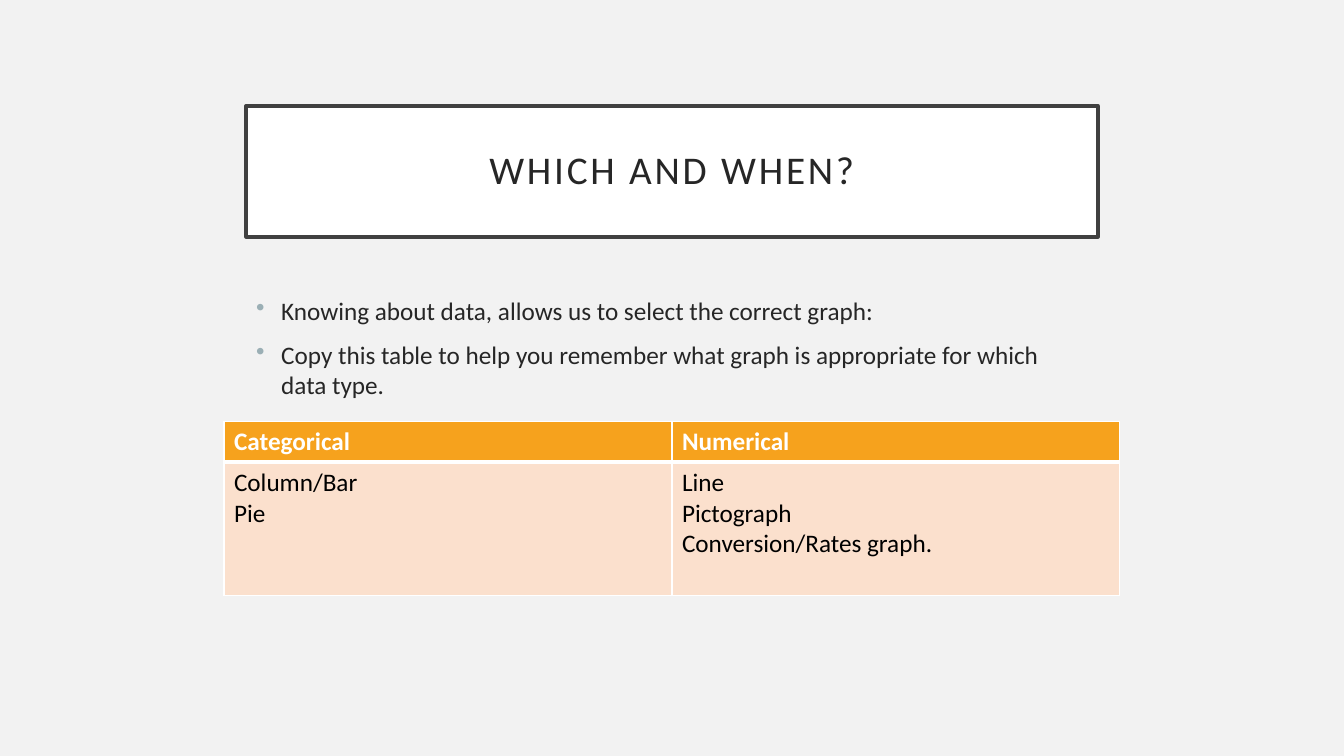
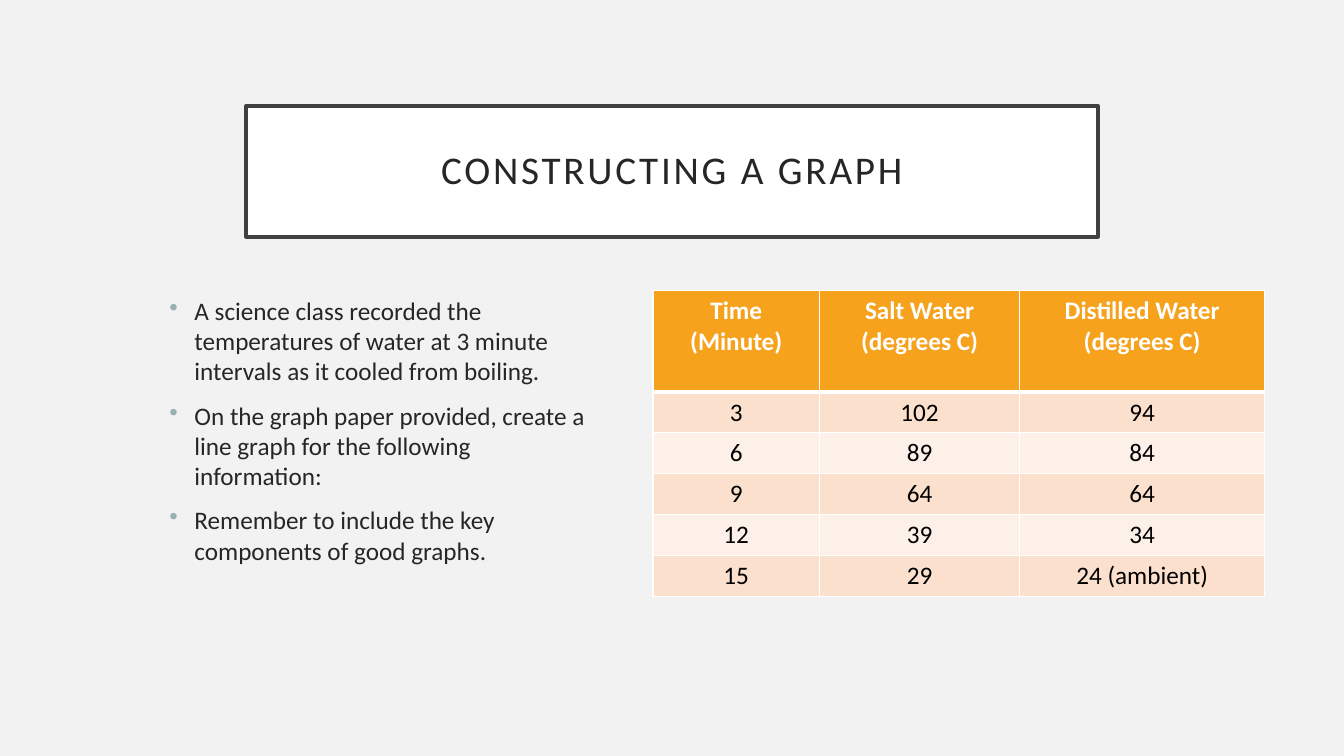
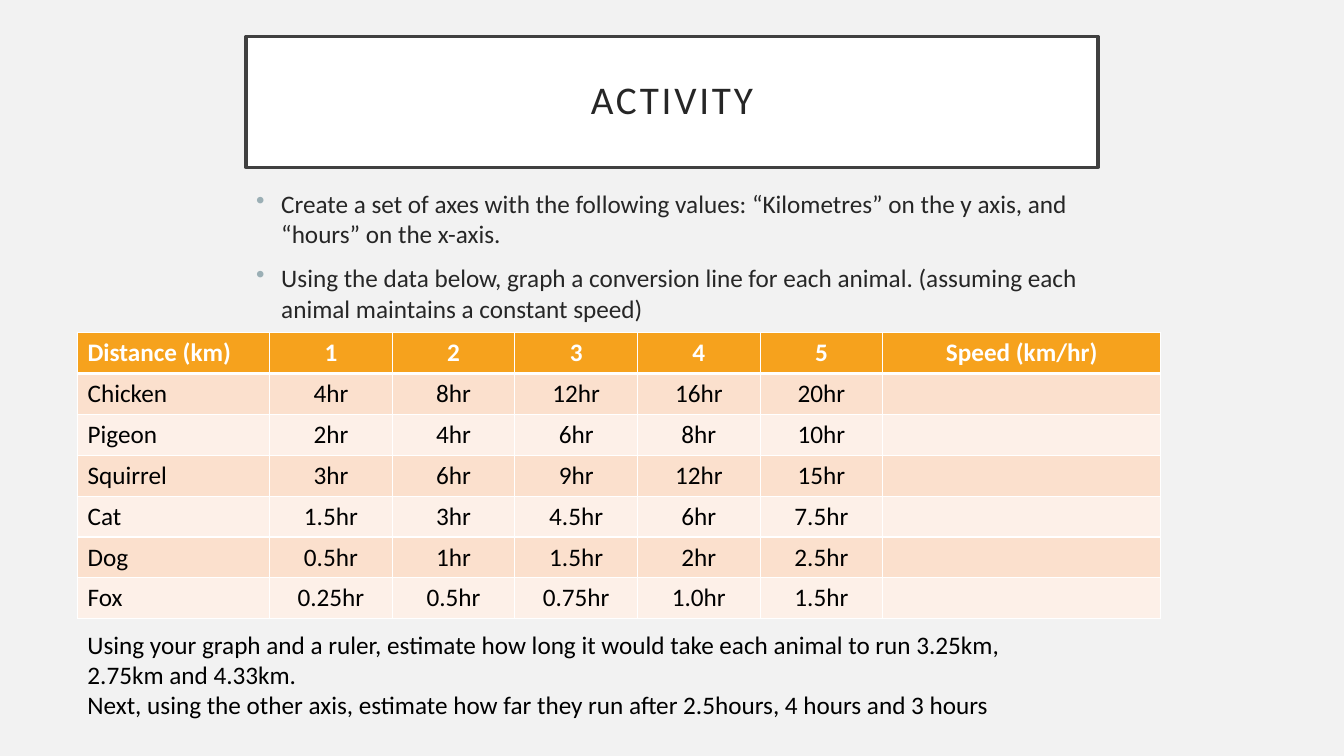
from dataclasses import dataclass
from typing import NamedTuple

from lxml.etree import SubElement
from pptx import Presentation
from pptx.dml.color import RGBColor as Rgb
from pptx.enum.text import MSO_ANCHOR as Anchor, MSO_AUTO_SIZE as AutoSize, PP_ALIGN as Align
from pptx.oxml.ns import qn
from pptx.util import Pt


@dataclass(frozen=True)
class Theme:
    font: str = "Calibri"
    title_size: float = 28
    text_size: float = 18
    title_tracking: float = 2
    page: str = "F2F2F2"
    white: str = "FFFFFF"
    black: str = "000000"
    text: str = "262626"
    frame: str = "404040"
    bullet: str = "9BAFB5"
    header: str = "F6A21D"
    bands: tuple = ("FBE0CD", "FDF0E8")


class Box(NamedTuple):
    left: float
    top: float
    width: float
    height: float


THEME = Theme()
PAGE_WIDTH, PAGE_HEIGHT = 960, 540
COLUMN_WIDTH = 608.4
COLUMN_LEFT = (PAGE_WIDTH - COLUMN_WIDTH) / 2
TITLE_TOP, TITLE_HEIGHT = 75.6, 93.6
BODY_TOP, BODY_HEIGHT = 207.4, 244
ROW_HEIGHT = 29.2


def color(code):
    return Rgb.from_string(code)


def style(para, size, code, bold=False):
    para.font.name = THEME.font
    para.font.size = Pt(size)
    para.font.bold = bold
    para.font.color.rgb = color(code)


def add_solid_fill(parent, code):
    SubElement(SubElement(parent, qn("a:solidFill")), qn("a:srgbClr"), val=code)


def add_page(deck, title, title_top=TITLE_TOP):
    """Title-only page with the framed title."""
    page = deck.slides.add_slide(deck.slide_layouts[5])
    shape = page.shapes.title
    shape.left, shape.top = Pt(COLUMN_LEFT), Pt(title_top)
    shape.width, shape.height = Pt(COLUMN_WIDTH), Pt(TITLE_HEIGHT)
    shape.fill.solid()
    shape.fill.fore_color.rgb = color(THEME.white)
    shape.line.color.rgb = color(THEME.frame)
    shape.line.width = Pt(2.5)

    frame = shape.text_frame
    frame.text = title
    frame.word_wrap = True
    frame.auto_size = AutoSize.NONE
    frame.vertical_anchor = Anchor.MIDDLE
    frame.margin_left = frame.margin_right = Pt(14.4)
    frame.margin_top = frame.margin_bottom = Pt(14.4)
    para = frame.paragraphs[0]
    para.alignment = Align.CENTER
    para.line_spacing = 0.9
    style(para, THEME.title_size, THEME.text)
    # Letter spacing is given in hundredths of a point
    para.font._element.set("spc", str(THEME.title_tracking * 100))
    return page


def add_text(page, box, lines, code):
    frame = page.shapes.add_textbox(*map(Pt, box)).text_frame
    frame.word_wrap = True
    frame.text = "\n".join(lines)
    for para in frame.paragraphs:
        style(para, THEME.text_size, code)
    return frame


def add_bullets(page, box, lines):
    """Bulleted text with a hanging indent."""
    frame = add_text(page, box, [], THEME.text)
    frame.text = "\n".join(lines)
    for index, para in enumerate(frame.paragraphs):
        if index:
            para.space_before = Pt(10)
        properties = para._p.get_or_add_pPr()
        properties.set("marL", str(Pt(18)))
        properties.set("indent", str(-Pt(18)))
        bullet_color = SubElement(properties, qn("a:buClr"))
        SubElement(bullet_color, qn("a:srgbClr"), val=THEME.bullet)
        SubElement(properties, qn("a:buChar"), char="•")
        style(para, THEME.text_size, THEME.text)


def add_borders(cell, top, bottom):
    properties = cell._tc.get_or_add_tcPr()
    for side, width in (("L", 1), ("R", 1), ("T", top), ("B", bottom)):
        line = SubElement(properties, qn(f"a:ln{side}"), w=str(Pt(width)))
        add_solid_fill(line, THEME.white)


def add_data_table(page, left, top, widths, heights, rows, aligns):
    """Banded table with a heavy rule under its header row."""
    box = Box(left, top, sum(widths), sum(heights))
    table = page.shapes.add_table(len(rows), len(widths), *map(Pt, box)).table
    for column, width in zip(table.columns, widths):
        column.width = Pt(width)
    for row, height in zip(table.rows, heights):
        row.height = Pt(height)

    for row_index, row in enumerate(rows):
        is_header = row_index == 0
        fill = THEME.header if is_header else THEME.bands[(row_index - 1) % 2]
        for column_index, text in enumerate(row):
            cell = table.cell(row_index, column_index)
            cell.text = text
            add_borders(cell, top=3 if row_index == 1 else 1, bottom=3 if is_header else 1)
            cell.fill.solid()
            cell.fill.fore_color.rgb = color(fill)
            for para in cell.text_frame.paragraphs:
                para.alignment = aligns[column_index]
                style(para, THEME.text_size, THEME.white if is_header else THEME.black, is_header)


def build_graph_choice(deck):
    page = add_page(deck, "WHICH AND WHEN?")
    add_bullets(page, Box(COLUMN_LEFT, BODY_TOP, COLUMN_WIDTH, BODY_HEIGHT), [
        "Knowing about data, allows us to select the correct graph:",
        "Copy this table to help you remember what graph is appropriate for which data type.",
    ])
    add_data_table(
        page, 160, 301, [320] * 2, [ROW_HEIGHT, 95],
        [("Categorical", "Numerical"),
         ("Column/Bar\nPie", "Line\nPictograph\nConversion/Rates graph.")],
        [Align.LEFT] * 2)


def build_graph_construction(deck):
    page = add_page(deck, "CONSTRUCTING A GRAPH")
    add_bullets(page, Box(113.8, BODY_TOP, 318.2, BODY_HEIGHT), [
        "A science class recorded the temperatures of water at 3 minute intervals "
        "as it cooled from boiling.",
        "On the graph paper provided, create a line graph for the following information:",
        "Remember to include the key components of good graphs.",
    ])
    readings = [
        ("Time\n(Minute)", "Salt Water (degrees C)", "Distilled Water (degrees C)"),
        ("3", "102", "94"),
        ("6", "89", "84"),
        ("9", "64", "64"),
        ("12", "39", "34"),
        ("15", "29", "24 (ambient)"),
    ]
    add_data_table(page, 466.4, BODY_TOP, [119, 143, 175], [72.6] + [ROW_HEIGHT] * 5,
                   readings, [Align.CENTER] * 3)


def build_activity(deck):
    page = add_page(deck, "ACTIVITY", title_top=26)
    add_bullets(page, Box(COLUMN_LEFT, 131, COLUMN_WIDTH, BODY_HEIGHT), [
        "Create a set of axes with the following values: “Kilometres” on the y axis, "
        "and “hours” on the x-axis.",
        "Using the data below, graph a conversion line for each animal. "
        "(assuming each animal maintains a constant speed)",
    ])
    travel_times = [
        ("Distance (km)", "1", "2", "3", "4", "5", "Speed (km/hr)"),
        ("Chicken", "4hr", "8hr", "12hr", "16hr", "20hr", ""),
        ("Pigeon", "2hr", "4hr", "6hr", "8hr", "10hr", ""),
        ("Squirrel", "3hr", "6hr", "9hr", "12hr", "15hr", ""),
        ("Cat", "1.5hr", "3hr", "4.5hr", "6hr", "7.5hr", ""),
        ("Dog", "0.5hr", "1hr", "1.5hr", "2hr", "2.5hr", ""),
        ("Fox", "0.25hr", "0.5hr", "0.75hr", "1.0hr", "1.5hr", ""),
    ]
    left = 55.4
    add_data_table(page, left, 237.6, [137.2] + [87.6] * 5 + [198.6],
                   [ROW_HEIGHT] * len(travel_times), travel_times,
                   [Align.LEFT] + [Align.CENTER] * 6)
    # Follow-up questions under the table
    add_text(page, Box(left, 445.8, 714.2, 72.7), [
        "Using your graph and a ruler, estimate how long it would take each animal "
        "to run 3.25km, 2.75km and 4.33km.",
        "Next, using the other axis, estimate how far they run after 2.5hours, "
        "4 hours and 3 hours",
    ], THEME.black)


def main():
    deck = Presentation()
    deck.slide_width, deck.slide_height = Pt(PAGE_WIDTH), Pt(PAGE_HEIGHT)
    background = deck.slide_master.background.fill
    background.solid()
    background.fore_color.rgb = color(THEME.page)
    build_graph_choice(deck)
    build_graph_construction(deck)
    build_activity(deck)
    deck.save("out.pptx")


if __name__ == "__main__":
    main()
